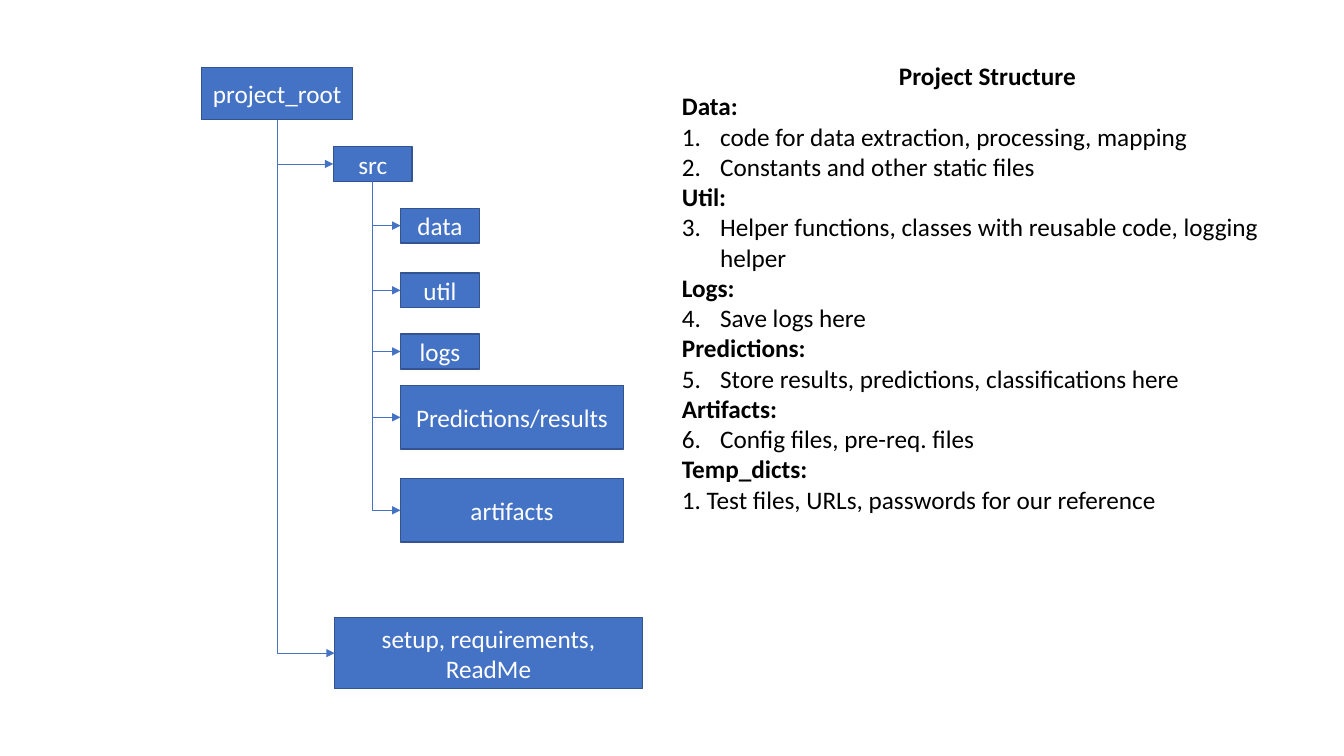
from dataclasses import dataclass
from lxml.etree import SubElement
from pptx import Presentation
from pptx.dml.color import RGBColor as Rgb
from pptx.enum.shapes import MSO_CONNECTOR as Link, MSO_SHAPE as Preset
from pptx.enum.text import MSO_ANCHOR as Anchor, MSO_AUTO_SIZE as Fit, PP_ALIGN as Align
from pptx.oxml.ns import qn
from pptx.util import Inches, Pt


@dataclass(frozen=True)
class Theme:
    font: str = "Calibri"
    size: Pt = Pt(18)
    box: Rgb = Rgb(0x44, 0x72, 0xC4)
    border: Rgb = Rgb(0x32, 0x54, 0x91)
    box_text: Rgb = Rgb(0xFF, 0xFF, 0xFF)
    note_text: Rgb = Rgb(0, 0, 0)
    border_width: Pt = Pt(1)
    branch_width: Pt = Pt(0.5)


theme = Theme()
deck = Presentation()
deck.slide_width, deck.slide_height = Inches(13.33), Inches(7.5)
slide = deck.slides.add_slide(deck.slide_layouts[6])


def area(left, top, width, height):
    """Turn percentages of the slide into lengths."""
    across, down = deck.slide_width / 100, deck.slide_height / 100
    return int(left * across), int(top * down), int(width * across), int(height * down)


def write(paragraph, words, color, bold=False):
    run = paragraph.add_run()
    run.text = words
    run.font.name, run.font.size, run.font.bold = theme.font, theme.size, bold
    run.font.color.rgb = color


# Folder tree: name, parent, left, top, width, height in % of the slide
LEAF, SMALL_W, SMALL_H, WIDE_W, WIDE_H = 29.8, 5.87, 4.6, 16.6, 8.4
folders = [
    ("project_root", None, 15, 8.95, 11.25, 6.9),
    ("src", "project_root", 24.8, 19.4, SMALL_W, SMALL_H),
    ("data", "src", LEAF, 27.55, SMALL_W, SMALL_H),
    ("util", "src", LEAF, 36.1, SMALL_W, SMALL_H),
    ("logs", "src", LEAF, 44.2, SMALL_W, SMALL_H),
    ("Predictions/results", "src", LEAF, 51, WIDE_W, WIDE_H),
    ("artifacts", "src", LEAF, 63.3, WIDE_W, WIDE_H),
    ("setup, requirements, ReadMe", "project_root", 24.9, 81.7, 22.9, 9.4),
]
BOTTOM, LEFT = 2, 1  # connection sites of a rectangle
tree = {}
for name, parent, *place in folders:
    folder = tree[name] = slide.shapes.add_shape(Preset.RECTANGLE, *area(*place))
    folder.shadow.inherit = False
    folder.fill.solid()
    folder.fill.fore_color.rgb = theme.box
    folder.line.color.rgb, folder.line.width = theme.border, theme.border_width
    label = folder.text_frame
    label.word_wrap, label.vertical_anchor = True, Anchor.MIDDLE
    label.paragraphs[0].alignment = Align.CENTER
    write(label.paragraphs[0], name, theme.box_text)
    if parent is None:
        continue

    # Branch: down from the parent, then right to the folder
    branch = slide.shapes.add_connector(Link.ELBOW, 0, 0, 0, 0)
    branch.begin_connect(tree[parent], BOTTOM)
    branch.end_connect(folder, LEFT)
    branch.line.color.rgb, branch.line.width = theme.box, theme.branch_width
    SubElement(branch.line._get_or_add_ln(), qn("a:tailEnd"), type="triangle")
    props = branch._element.spPr
    SubElement(props, qn("a:effectLst"))

    # A one-bend connector is stored on its side: swap its extents about the centre
    run_x, drop = branch.width, branch.height
    branch.left += (run_x - drop) // 2
    branch.top += (drop - run_x) // 2
    branch.width, branch.height = drop, run_x
    props.find(qn("a:prstGeom")).set("prst", "bentConnector2")
    turn = props.find(qn("a:xfrm"))
    turn.set("rot", str(270 * 60000))
    turn.set("flipH", "1")

# Notes on each folder, numbered through
sections = [
    ("Data: ", ["code for data extraction, processing, mapping",
                "Constants and other static files"]),
    ("Util:", ["Helper functions, classes with reusable code, logging helper"]),
    ("Logs:", ["Save logs here"]),
    ("Predictions:", ["Store results, predictions, classifications here"]),
    ("Artifacts:", ["Config files, pre-req. files"]),
]
notes = slide.shapes.add_textbox(*area(50, 7.35, 46.95, 61.9)).text_frame
notes.word_wrap, notes.auto_size = True, Fit.SHAPE_TO_FIT_TEXT
notes.paragraphs[0].alignment = Align.CENTER
write(notes.paragraphs[0], "Project Structure", theme.note_text, bold=True)

indent = Inches(0.38)
number = 0
for heading, items in sections:
    write(notes.add_paragraph(), heading, theme.note_text, bold=True)
    for item in items:
        number += 1
        entry = notes.add_paragraph()
        layout = entry._p.get_or_add_pPr()
        layout.set("marL", str(indent))
        layout.set("indent", str(-indent))
        SubElement(layout, qn("a:buFont"), typeface="+mj-lt")
        SubElement(layout, qn("a:buAutoNum"), type="arabicPeriod", startAt=str(number))
        write(entry, item, theme.note_text)

write(notes.add_paragraph(), "Temp_dicts:", theme.note_text, bold=True)
write(notes.add_paragraph(), "1. Test files, URLs, passwords for our reference", theme.note_text)

deck.save("out.pptx")
